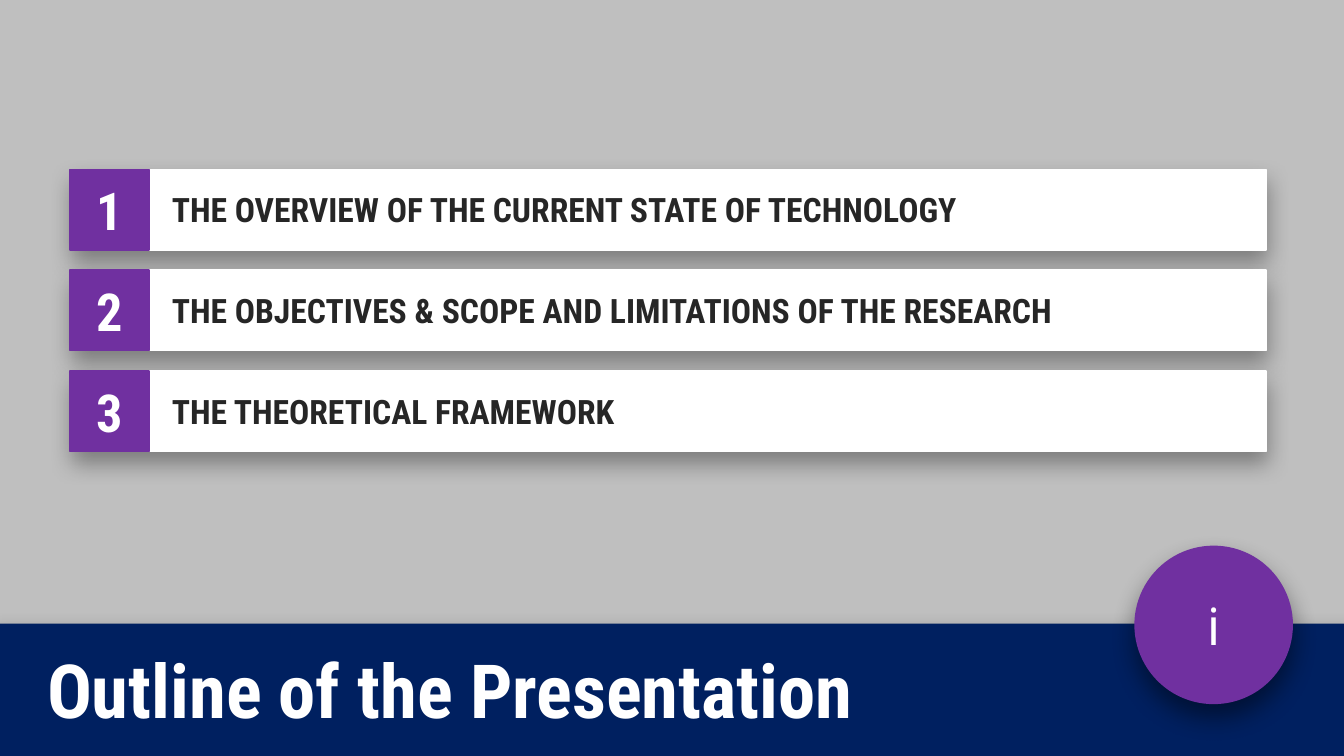
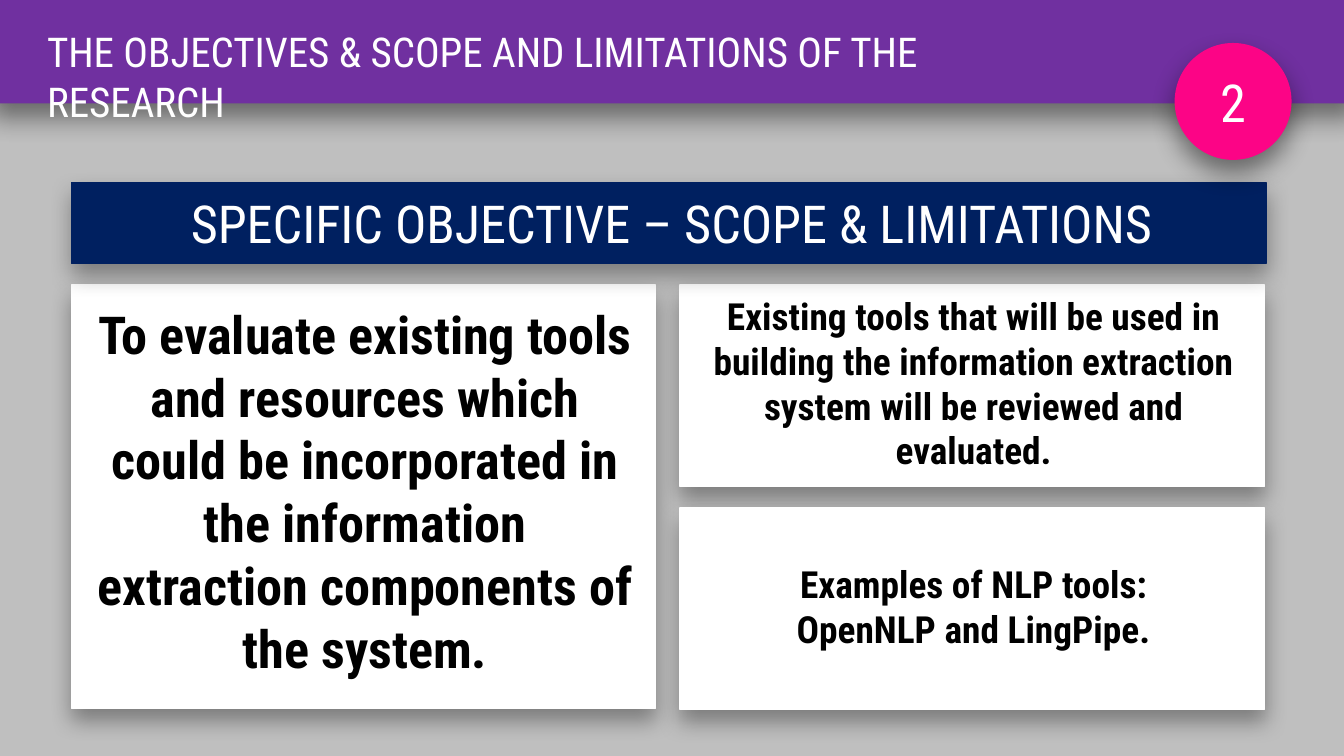
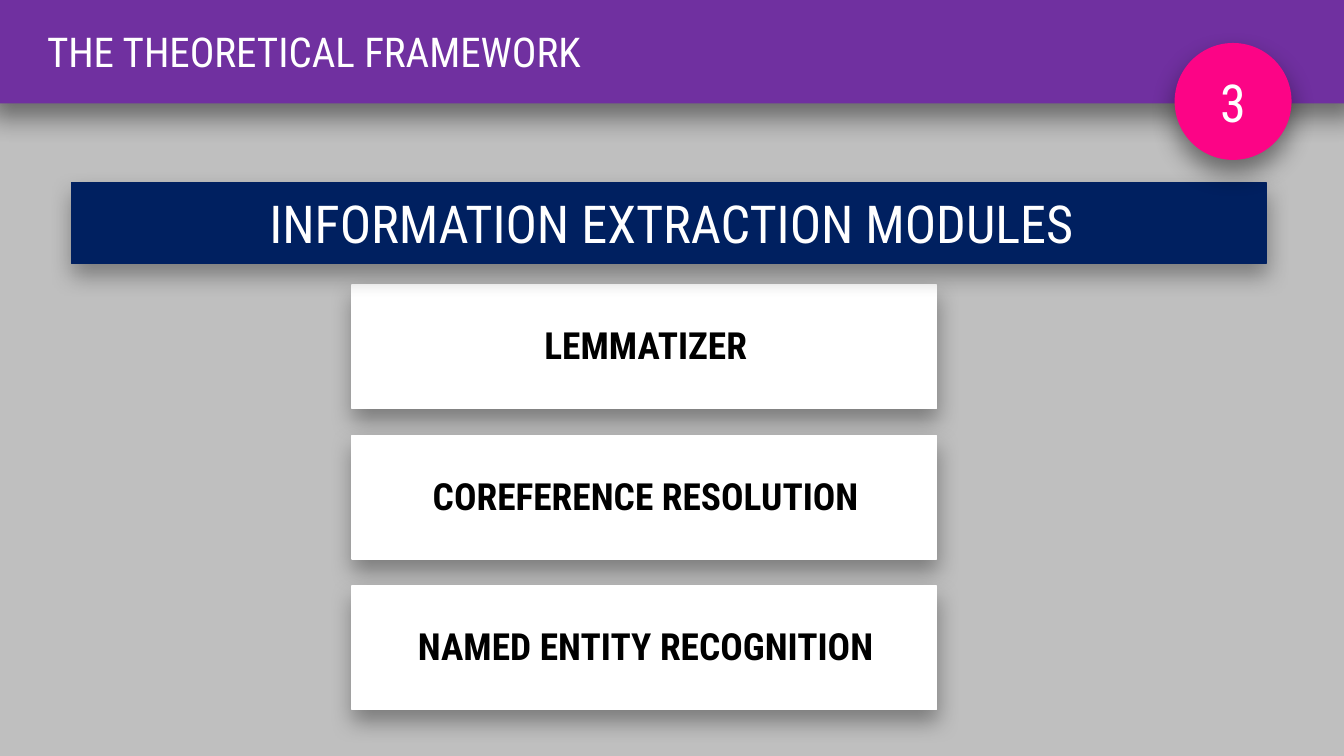
from lxml import etree
from pptx import Presentation
from pptx.dml.color import RGBColor
from pptx.enum.shapes import MSO_SHAPE
from pptx.enum.text import MSO_ANCHOR, MSO_AUTO_SIZE, PP_ALIGN
from pptx.oxml.ns import qn
from pptx.util import Inches, Pt

RECTANGLE, OVAL = MSO_SHAPE.RECTANGLE, MSO_SHAPE.OVAL
LEFT, CENTER = PP_ALIGN.LEFT, PP_ALIGN.CENTER
TOP, MIDDLE = MSO_ANCHOR.TOP, MSO_ANCHOR.MIDDLE
NO_AUTOSIZE = MSO_AUTO_SIZE.NONE

# Colours
GRAY = RGBColor(0xBF, 0xBF, 0xBF)
WHITE = RGBColor(0xFF, 0xFF, 0xFF)
BLACK = RGBColor(0x00, 0x00, 0x00)
CHARCOAL = RGBColor(0x26, 0x26, 0x26)
PURPLE = RGBColor(0x70, 0x30, 0xA0)
NAVY = RGBColor(0x00, 0x20, 0x60)
PINK = RGBColor(0xFC, 0x04, 0x86)

# Type and shadows
FONT = "Roboto Condensed"
CARD_SHADOW = {"opacity": 35, "blur": 12, "distance": 6}
BAND_SHADOW = {"opacity": 45, "blur": 14, "distance": 7}

# Grid: 100 columns across, square cells; boxes are (left, top, width, height)
WIDTH, HEIGHT = Inches(10), Inches(5.625)
COLUMNS = 100
CELL = WIDTH / COLUMNS
MARGIN, CONTENT_WIDTH, BAR_HEIGHT = 5.3, 88.9, 6
CARD_WIDTH, CARDS_TOP = 43.5, 21.2
TITLE_LEFT, TITLE_WIDTH = 2.5, 80.2


class Deck:
    """Holds the shared style and the slide being built."""

    def __init__(self):
        self.presentation = Presentation()
        self.presentation.slide_width = WIDTH
        self.presentation.slide_height = HEIGHT
        self.slide = None

    def new_slide(self):
        layout = self.presentation.slide_layouts.get_by_name("Title Only")
        self.slide = self.presentation.slides.add_slide(layout)
        self.slide.background.fill.solid()
        self.slide.background.fill.fore_color.rgb = GRAY

    @staticmethod
    def place(box):
        return [round(cells * CELL) for cells in box]

    def set_text(self, shape, text, size, color, bold=False, align=CENTER, anchor=MIDDLE):
        frame = shape.text_frame
        frame.text = text
        settings = {"word_wrap": True, "auto_size": NO_AUTOSIZE, "vertical_anchor": anchor}
        for name, value in settings.items():
            setattr(frame, name, value)
        for paragraph in frame.paragraphs:
            paragraph.alignment = align
            for run in paragraph.runs:
                for name, value in {"name": FONT, "size": Pt(size), "bold": bold}.items():
                    setattr(run.font, name, value)
                run.font.color.rgb = color

    def shape(self, kind, box, fill, outlined=False, shadow=None):
        shape = self.slide.shapes.add_shape(kind, *self.place(box))
        shape.fill.solid()
        shape.fill.fore_color.rgb = fill
        if outlined:
            shape.line.color.rgb = fill
            shape.line.width = Pt(0.75)
        else:
            shape.line.fill.background()
        shape.shadow.inherit = False
        if shadow:
            self.cast_shadow(shape, **shadow)
        return shape

    @staticmethod
    def cast_shadow(shape, opacity, blur, distance):
        effects = shape.element.spPr.find(qn("a:effectLst"))
        outer = etree.SubElement(
            effects, qn("a:outerShdw"), blurRad=str(Pt(blur)), dist=str(Pt(distance)),
            dir="5400000", algn="t", rotWithShape="0")
        color = etree.SubElement(outer, qn("a:srgbClr"), val=str(BLACK))
        etree.SubElement(color, qn("a:alpha"), val=str(opacity * 1000))

    def text(self, box, text, size, color, **style):
        text_box = self.slide.shapes.add_textbox(*self.place(box))
        self.set_text(text_box, text, size, color, **style)

    def panel(self, box, fill):
        self.shape(RECTANGLE, box, fill, outlined=True, shadow=CARD_SHADOW)

    def card(self, box, text, size=20):
        left, top, width, height = box
        self.panel(box, WHITE)
        inner = (left + 0.7, top + 0.03 * height, width - 1.2, 0.91 * height)
        self.text(inner, text, size, BLACK, bold=True)

    def outline_row(self, top, number, text):
        self.panel((MARGIN, top, CONTENT_WIDTH, BAR_HEIGHT), WHITE)
        tile = self.shape(RECTANGLE, (5.2, top, 5.9, BAR_HEIGHT), PURPLE, outlined=True)
        self.set_text(tile, number, 28, WHITE, bold=True)
        self.text((11.8, top + 1, 82, 4), text, 18, CHARCOAL,
                  bold=True, align=LEFT, anchor=TOP)

    def heading(self, text):
        self.panel((MARGIN, 13.6, CONTENT_WIDTH, BAR_HEIGHT), NAVY)
        label = self.shape(RECTANGLE, (6.7, 13.8, 86.5, 5.6), NAVY, outlined=True)
        self.set_text(label, text, 28, WHITE)

    def title_band(self, text, fill, band_top, title_top, title_height, size, bold=False):
        band = self.shape(RECTANGLE, (-0.8, band_top, 101.7, 17.5), fill, shadow=BAND_SHADOW)
        title = self.slide.shapes.title
        box = self.place((TITLE_LEFT, title_top, TITLE_WIDTH, title_height))
        for name, value in zip(("left", "top", "width", "height"), box):
            setattr(title, name, value)
        title.fill.solid()
        title.fill.fore_color.rgb = fill
        self.set_text(title, text, size, WHITE, bold=bold, align=LEFT, anchor=TOP)
        band.element.addnext(title.element)

    def badge(self, left, top, diameter, fill, text):
        circle = self.shape(OVAL, (left, top, diameter, diameter), fill, shadow=BAND_SHADOW)
        self.set_text(circle, text, 28, WHITE)

    def section_header(self, number, title, heading):
        self.heading(heading)
        self.title_band(title, PURPLE, -9.8, 1.5, 4.7, 22)
        self.badge(87.4, 3.2, 8.7, PINK, number)


SECTIONS = [
    "THE OVERVIEW OF THE CURRENT STATE OF TECHNOLOGY",
    "THE OBJECTIVES & SCOPE AND LIMITATIONS OF THE RESEARCH",
    "THE THEORETICAL FRAMEWORK",
]


def outline_slide(deck):
    deck.new_slide()
    for index, section in enumerate(SECTIONS):
        deck.outline_row(12.6 + 7.5 * index, str(index + 1), section)
    deck.title_band("Outline of the Presentation", NAVY, 46.4, 47.4, 7.7, 40, bold=True)
    deck.badge(84.4, 40.6, 11.8, PURPLE, "i")


def objectives_slide(deck):
    deck.new_slide()
    deck.card((MARGIN, CARDS_TOP, CARD_WIDTH, 31.5),
              "To evaluate existing tools and resources which could be incorporated "
              "in the information extraction components of the system.", size=28)
    scope_cards = [
        "Existing tools that will be used in building the information extraction "
        "system will be reviewed and evaluated.",
        "Examples of NLP tools:\nOpenNLP and LingPipe.",
    ]
    for index, text in enumerate(scope_cards):
        deck.card((50.6, CARDS_TOP + 16.6 * index, CARD_WIDTH, 15), text)
    deck.section_header("2", SECTIONS[1], "SPECIFIC OBJECTIVE – SCOPE & LIMITATIONS")


def framework_slide(deck):
    deck.new_slide()
    modules = ["LEMMATIZER", "COREFERENCE RESOLUTION", "NAMED ENTITY RECOGNITION"]
    for index, module in enumerate(modules):
        deck.card((26.2, CARDS_TOP + 11.2 * index, CARD_WIDTH, 9.2), module)
    deck.section_header("3", SECTIONS[2], "INFORMATION EXTRACTION MODULES")


def main():
    deck = Deck()
    outline_slide(deck)
    objectives_slide(deck)
    framework_slide(deck)
    deck.presentation.save("out.pptx")


if __name__ == "__main__":
    main()
